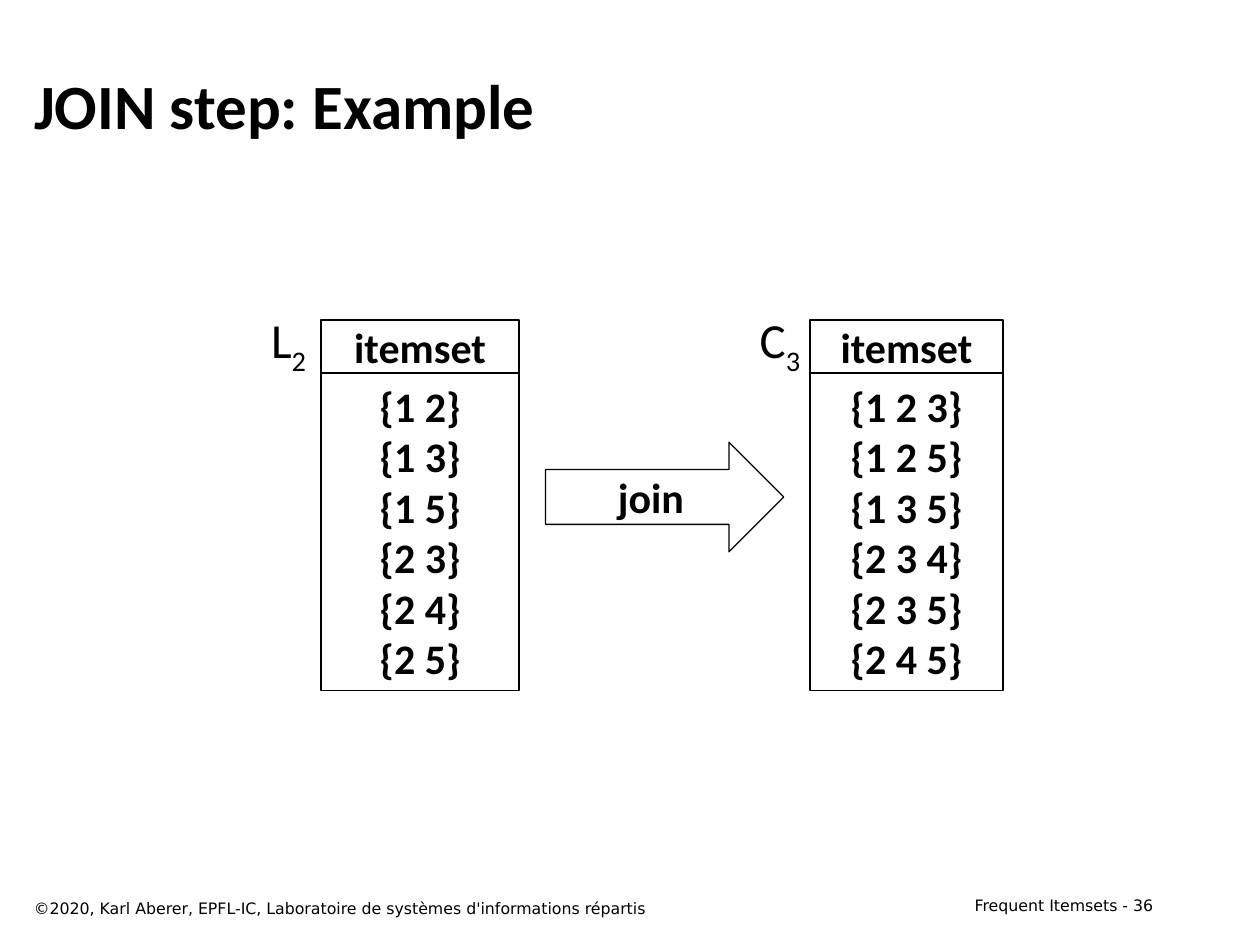
from pptx import Presentation
from pptx.dml.color import RGBColor
from pptx.enum.shapes import MSO_SHAPE
from pptx.enum.text import MSO_ANCHOR, MSO_AUTO_SIZE, PP_ALIGN
from pptx.util import Inches, Pt

BLACK = RGBColor(0, 0, 0)
WHITE = RGBColor(255, 255, 255)
WIDTH, HEIGHT = Inches(10), Inches(7.5)
COLUMNS, ROWS = 100, 75
HEADER_ROWS = 4.2


def place(box):
    """Turn a box of grid columns and rows into slide lengths."""
    left, top, width, height = box
    return (round(WIDTH * left / COLUMNS), round(HEIGHT * top / ROWS),
            round(WIDTH * width / COLUMNS), round(HEIGHT * height / ROWS))


def write(shape, text, size=24, font="Calibri", bold=False, align=PP_ALIGN.CENTER,
          anchor=MSO_ANCHOR.MIDDLE, wrap=True, subscript=""):
    """Fill a shape with formatted text, one paragraph per line."""
    frame = shape.text_frame
    frame.text = text
    frame.word_wrap = wrap
    frame.auto_size = MSO_AUTO_SIZE.NONE
    frame.vertical_anchor = anchor
    if subscript:
        run = frame.paragraphs[0].add_run()
        run.text = subscript
        run._r.get_or_add_rPr().set("baseline", "-25000")
    for paragraph in frame.paragraphs:
        paragraph.alignment = align
        for run in paragraph.runs:
            run.font.size = Pt(size)
            run.font.name = font
            run.font.bold = bold
            run.font.color.rgb = BLACK


def add_text(slide, box, text, **text_format):
    """Add a text box."""
    write(slide.shapes.add_textbox(*place(box)), text, **text_format)


def add_outlined(slide, box, text, kind=MSO_SHAPE.RECTANGLE, line=1, fill=None, wrap=False):
    """Add a black-outlined shape with bold text."""
    shape = slide.shapes.add_shape(kind, *place(box))
    shape.shadow.inherit = False
    if fill is None:
        shape.fill.background()
    else:
        shape.fill.solid()
        shape.fill.fore_color.rgb = fill
    shape.line.color.rgb = BLACK
    shape.line.width = Pt(line)
    write(shape, text, bold=True, wrap=wrap)


def add_itemsets(slide, box, letter, level, itemsets, label_width):
    """Add a named list of itemsets, with its label left of the box."""
    left, top, width, height = box
    add_text(slide, (left - label_width, top - 1, label_width, 5.7), letter,
             size=28, wrap=False, subscript=level)
    add_outlined(slide, (left, top + HEADER_ROWS, width, height - HEADER_ROWS),
                 "\n".join(f"{{{itemset}}}" for itemset in itemsets))
    add_outlined(slide, (left, top, width, HEADER_ROWS), "itemset")


def add_title(slide, box, text):
    """Move and format the title placeholder."""
    title = slide.shapes.title
    title.left, title.top, title.width, title.height = place(box)
    write(title, text, size=36, bold=True, align=PP_ALIGN.LEFT)


def add_footer(slide, box, credit, page):
    """Add the credit line and the page mark at the ends of the box."""
    left, top, width, height = box
    small = {"size": 9, "font": "DejaVu Sans", "anchor": MSO_ANCHOR.TOP}
    page_width = 20.8
    add_text(slide, (left + width - page_width, top, page_width, height), page,
             align=PP_ALIGN.RIGHT, **small)
    add_text(slide, (left, top + 0.2, 64.2, height), credit, align=PP_ALIGN.LEFT, **small)


def main():
    """Build and save the slide."""
    presentation = Presentation()
    presentation.slide_width, presentation.slide_height = WIDTH, HEIGHT
    slide = presentation.slides.add_slide(presentation.slide_layouts[5])
    add_title(slide, (1.7, 3.3, 90.8, 10), "JOIN step: Example")
    add_itemsets(slide, (25.5, 25.4, 15.7, 29.4), "L", "2",
                 ["1 2", "1 3", "1 5", "2 3", "2 4", "2 5"], 5.2)
    add_itemsets(slide, (64.3, 25.4, 15.3, 29.4), "C", "3",
                 ["1 2 3", "1 2 5", "1 3 5", "2 3 4", "2 3 5", "2 4 5"], 4.8)
    add_outlined(slide, (43.3, 35.1, 18.9, 8.7), "join",
                 kind=MSO_SHAPE.RIGHT_ARROW, line=0.75, fill=WHITE, wrap=True)
    add_footer(slide, (1.7, 70.6, 90.8, 2.5),
               "©2020, Karl Aberer, EPFL-IC, Laboratoire de systèmes d'informations répartis",
               "Frequent Itemsets - 36")
    presentation.save("out.pptx")


if __name__ == "__main__":
    main()
